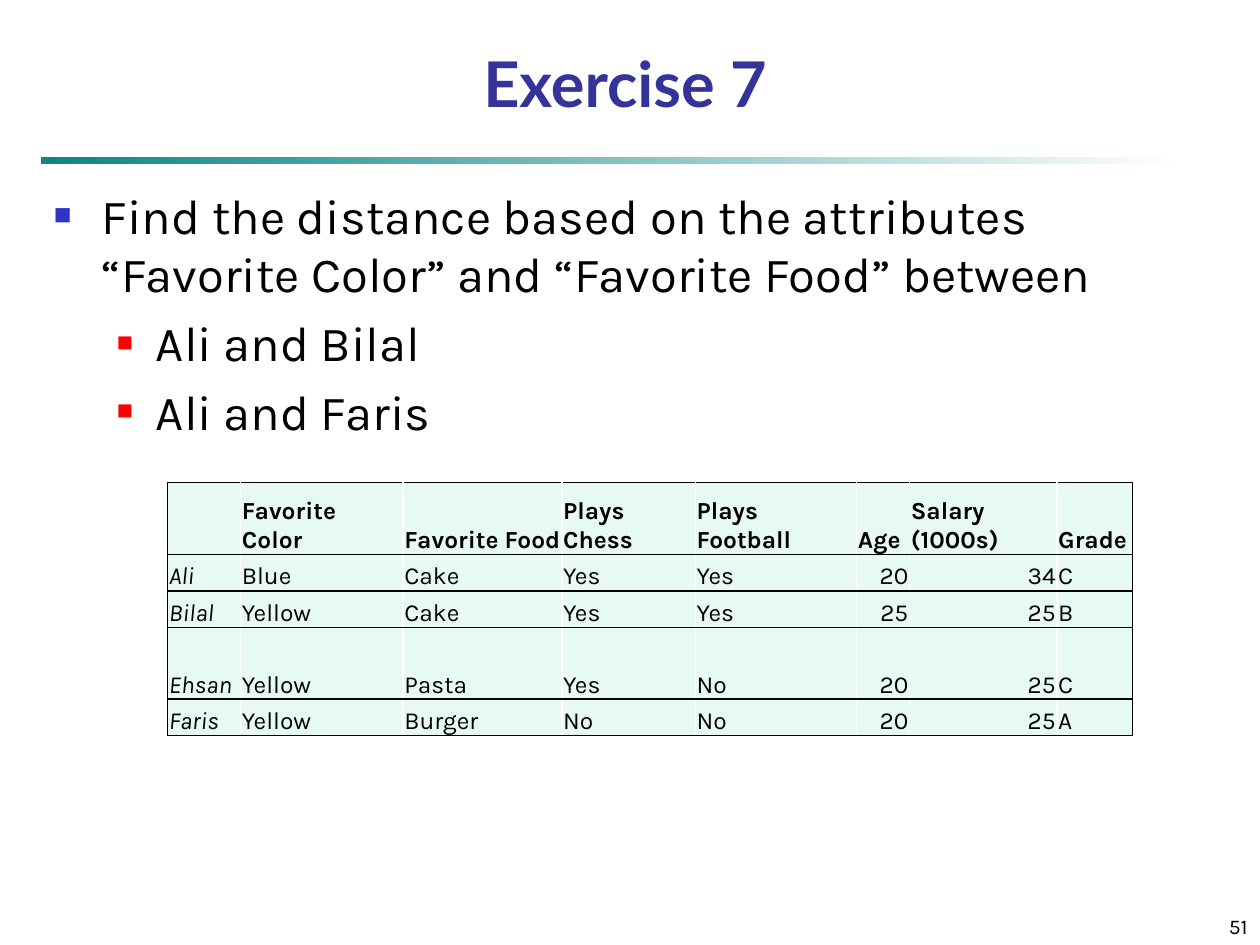
from lxml import etree
from pptx import Presentation
from pptx.dml.color import RGBColor
from pptx.enum.shapes import MSO_SHAPE
from pptx.enum.text import MSO_ANCHOR, PP_ALIGN
from pptx.oxml.ns import qn
from pptx.util import Inches, Pt

BODY_FONT = "Karla"
BLACK, WHITE = "000000", "FFFFFF"
COLUMN_WIDTHS = [0.58, 1.29, 1.26, 1.06, 1.28, 0.42, 1.17, 0.6]
ROW_HEIGHTS = [0.57, 0.29, 0.29, 0.57, 0.29]
ROWS = [
    ["", "Favorite Color", "Favorite Food", "Plays Chess", "Plays Football",
     "Age", "Salary (1000s)", "Grade"],
    ["Ali", "Blue", "Cake", "Yes", "Yes", "20", "34", "C"],
    ["Bilal", "Yellow", "Cake", "Yes", "Yes", "25", "25", "B"],
    ["Ehsan", "Yellow", "Pasta", "Yes", "No", "20", "25", "C"],
    ["Faris", "Yellow", "Burger", "No", "No", "20", "25", "A"],
]


def color(value):
    return RGBColor.from_string(value)


def set_font(paragraph, size, name=BODY_FONT, fill=BLACK, bold=False, italic=False):
    font = paragraph.font
    font.size, font.name = Pt(size), name
    font.bold, font.italic = bold, italic
    font.color.rgb = color(fill)


def add_text_box(slide, left, top, width, height, anchor=MSO_ANCHOR.TOP):
    box = slide.shapes.add_textbox(Inches(left), Inches(top), Inches(width), Inches(height))
    frame = box.text_frame
    frame.word_wrap = True
    frame.vertical_anchor = anchor
    return frame


def add_label(slide, text, place, align, size, **font):
    paragraph = add_text_box(slide, *place, anchor=MSO_ANCHOR.BOTTOM).paragraphs[0]
    paragraph.text = text
    paragraph.alignment = align
    set_font(paragraph, size, **font)


def add_bullet(paragraph, fill, percent, margin, hanging):
    properties = paragraph._p.get_or_add_pPr()
    properties.set("marL", str(Inches(margin)))
    properties.set("indent", str(-Inches(hanging)))
    bullet_color = etree.SubElement(properties, qn("a:buClr"))
    etree.SubElement(bullet_color, qn("a:srgbClr"), val=fill)
    etree.SubElement(properties, qn("a:buSzPct"), val=str(percent * 1000))
    etree.SubElement(properties, qn("a:buFont"), typeface="Arial")
    etree.SubElement(properties, qn("a:buChar"), char="■")


def add_task(slide):
    main_bullet = ("3333CC", 60, 0.38, 0.38)
    sub_bullet = ("FF0000", 55, 0.81, 0.31)
    items = [
        ("Find the distance based on the attributes “Favorite Color” "
         "and “Favorite Food” between", 0, main_bullet),
        ("Ali and Bilal", 1, sub_bullet),
        ("Ali and Faris", 1, sub_bullet),
    ]
    frame = add_text_box(slide, 0.33, 1.42, 9.17, 5.67)
    for index, (text, level, bullet) in enumerate(items):
        paragraph = frame.add_paragraph() if index else frame.paragraphs[0]
        paragraph.text = text
        paragraph.level = level
        if index:
            paragraph.space_before = Pt(5.6)
        add_bullet(paragraph, *bullet)
        set_font(paragraph, 28)


def add_title_rule(slide):
    """Draw the bar under the title, fading from teal to white."""
    rule = slide.shapes.add_shape(
        MSO_SHAPE.RECTANGLE, Inches(0.33), Inches(1.25), Inches(9), Inches(0.05))
    rule.shadow.inherit = False
    rule.line.fill.background()
    rule.fill.gradient()
    rule.fill.gradient_angle = 0
    for stop, value, position in zip(rule.fill.gradient_stops, ("008080", WHITE), (0, 1)):
        stop.color.rgb = color(value)
        stop.position = position
    first_color = next(rule._element.iter(qn("a:srgbClr")))
    etree.SubElement(first_color, qn("a:alpha"), val="95000")


def set_borders(cell, left, right):
    """Outline a cell: given side colours, black above and below."""
    properties = cell._tc.get_or_add_tcPr()
    sides = {"a:lnL": left, "a:lnR": right, "a:lnT": BLACK, "a:lnB": BLACK}
    for index, (tag, value) in enumerate(sides.items()):
        line = etree.Element(qn(tag), w=str(Pt(1)))
        fill = etree.SubElement(line, qn("a:solidFill"))
        etree.SubElement(fill, qn("a:srgbClr"), val=value)
        properties.insert(index, line)


def fill_cell(cell, text, bold, italic):
    cell.fill.solid()
    cell.fill.fore_color.rgb = color("E7FAF1")
    cell.vertical_anchor = MSO_ANCHOR.BOTTOM
    cell.margin_left = cell.margin_right = cell.margin_top = Inches(0.01)
    cell.margin_bottom = 0
    paragraph = cell.text_frame.paragraphs[0]
    paragraph.text = text
    paragraph.alignment = PP_ALIGN.RIGHT if text.isdigit() else PP_ALIGN.LEFT
    set_font(paragraph, 14, bold=bold, italic=italic)


def add_people_table(slide):
    table = slide.shapes.add_table(
        len(ROWS), len(COLUMN_WIDTHS), Inches(1.33), Inches(3.83),
        Inches(sum(COLUMN_WIDTHS)), Inches(sum(ROW_HEIGHTS))).table
    for column, width in zip(table.columns, COLUMN_WIDTHS):
        column.width = Inches(width)
    for row, height in zip(table.rows, ROW_HEIGHTS):
        row.height = Inches(height)
    last = len(COLUMN_WIDTHS) - 1
    for r, texts in enumerate(ROWS):
        for c, text in enumerate(texts):
            cell = table.cell(r, c)
            fill_cell(cell, text, bold=r == 0, italic=r > 0 and c == 0)
            set_borders(cell, left=BLACK if c == 0 else WHITE,
                        right=BLACK if c == last else WHITE)


def main():
    presentation = Presentation()
    presentation.slide_width, presentation.slide_height = Inches(10), Inches(7.5)
    slide = presentation.slides.add_slide(presentation.slide_layouts[6])
    add_title_rule(slide)
    add_label(slide, "Exercise 7", (0.17, 0.33, 9.58, 0.67), PP_ALIGN.CENTER, 36,
              name="Lato", fill="333399", bold=True)
    add_task(slide)
    add_label(slide, "51", (7.92, 7.08, 2.08, 0.42), PP_ALIGN.RIGHT, 12)
    add_people_table(slide)
    presentation.save("out.pptx")


if __name__ == "__main__":
    main()
